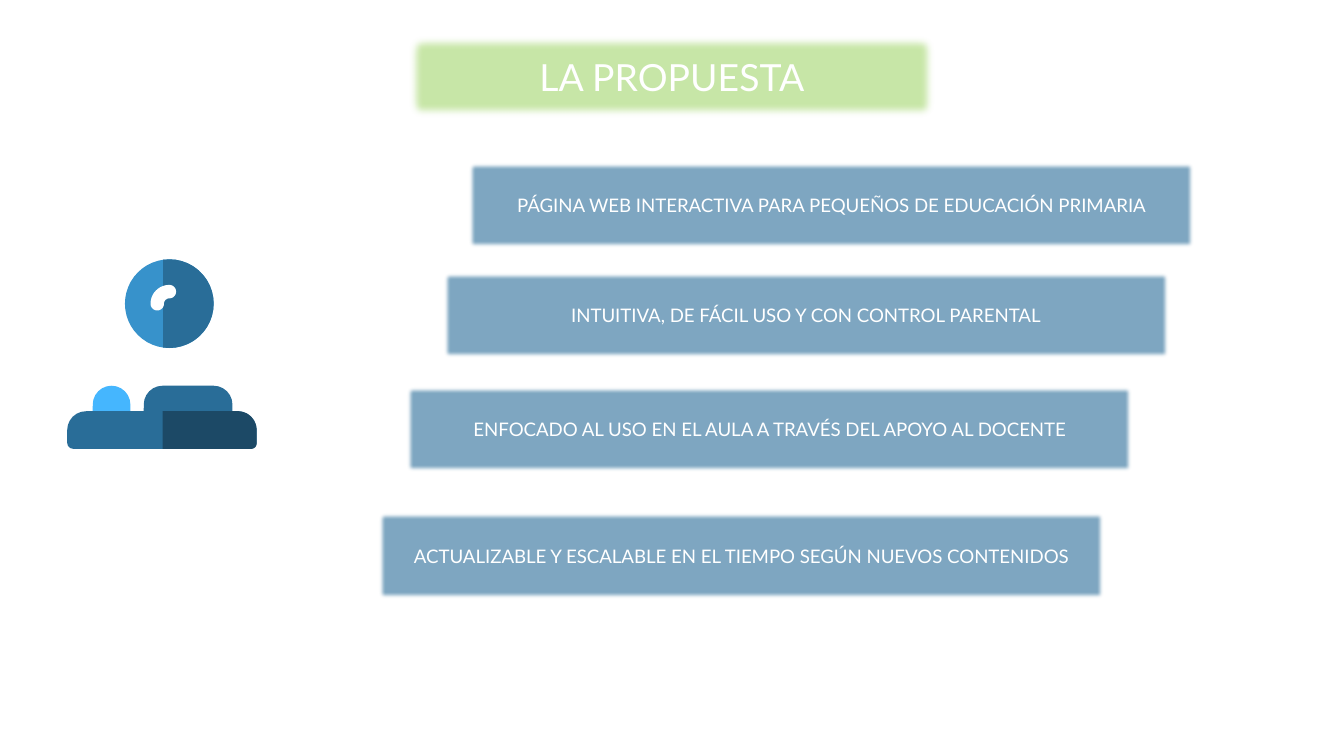
"""Build the proposal slide: a title, four stepped bars and a person icon."""
from dataclasses import dataclass
from math import cos, radians, sin
from typing import NamedTuple

from lxml import etree
from pptx import Presentation
from pptx import util as u
from pptx.dml.color import RGBColor
from pptx.enum import shapes as s, text as t
from pptx.oxml import ns


@dataclass(frozen=True)
class Theme:
    font: str = "Lato"
    white: str = "FFFFFF"
    green: str = "92D050"
    sky: str = "45B6FE"
    light: str = "3792CB"
    blue: str = "296D98"
    navy: str = "1C4966"
    title: int = 20
    body: int = 10


class Box(NamedTuple):
    x: float
    y: float
    w: float
    h: float


class Panel(NamedTuple):
    words: str
    box: Box
    fill: str
    alpha: int
    size: int
    soft: float


class Part(NamedTuple):
    kind: s.MSO_SHAPE
    box: Box
    fill: str


class Arc(NamedTuple):
    x: float
    y: float
    r: float = 0
    start: int = 0
    end: int = 0


class Curve(NamedTuple):
    arcs: tuple[Arc, ...]
    fill: str


T = Theme()
WIDTH = 10
HEIGHT = WIDTH * 9 / 16
ROUND = s.MSO_SHAPE.ROUND_2_SAME_RECTANGLE
BARS = (
    ("PÁGINA WEB INTERACTIVA PARA PEQUEÑOS DE EDUCACIÓN PRIMARIA", 3.48, 1.2),
    ("INTUITIVA, DE FÁCIL USO Y CON CONTROL PARENTAL", 3.29, 2.02),
    ("ENFOCADO AL USO EN EL AULA A TRAVÉS DEL APOYO AL DOCENTE", 3.02, 2.87),
    ("ACTUALIZABLE Y ESCALABLE EN EL TIEMPO SEGÚN NUEVOS CONTENIDOS", 2.81, 3.81),
)
PANELS = [Panel("LA PROPUESTA", Box(3.02, 0.24, 3.96, 0.66), T.green, 50, T.title, 5)]
PANELS += [Panel(words, Box(x, y, 5.41, 0.65), T.blue, 60, T.body, 2.5)
           for words, x, y in BARS]
ICON = (
    Part(s.MSO_SHAPE.OVAL, Box(0.93, 1.93, 0.66, 0.66), T.light),
    Curve((Arc(1.26, 2.26, 0.33, -98, 98),), T.blue),
    Part(ROUND, Box(1.07, 2.87, 0.66, 0.28), T.blue),
    Part(ROUND, Box(0.69, 2.87, 0.28, 0.28), T.sky),
    Curve((Arc(1.26, 2.26, 0.14, 180, 270), Arc(1.26, 2.17, 0.05, -90, 90),
           Arc(1.26, 2.26, 0.04, 270, 180), Arc(1.17, 2.26, 0.05, 0, 180)), T.white),
    Part(ROUND, Box(0.5, 3.06, 1.41, 0.28), T.blue),
    Curve((Arc(1.21, 3.06), Arc(1.77, 3.2, 0.14, -90, 0),
           Arc(1.87, 3.3, 0.04, 0, 90), Arc(1.21, 3.34)), T.navy),
)


def paint(shape, fill: str) -> None:
    """Give a shape a flat fill with no line or shadow."""
    shape.shadow.inherit = False
    shape.fill.solid()
    shape.fill.fore_color.rgb = RGBColor.from_string(fill)
    shape.line.fill.background()


def place(shapes, kind: s.MSO_SHAPE, box: Box, fill: str):
    """Add a painted preset shape."""
    shape = shapes.add_shape(kind, *map(u.Inches, box))
    paint(shape, fill)
    return shape


def blur(shape, alpha: int, soft: float) -> None:
    """Make the fill see-through and soften the edges."""
    props = shape.element.spPr
    tint = props.find(".//" + ns.qn("a:srgbClr"))
    etree.SubElement(tint, ns.qn("a:alpha"), val=str(alpha * 1000))
    edge = props.find(ns.qn("a:effectLst"))
    etree.SubElement(edge, ns.qn("a:softEdge"), rad=str(int(u.Pt(soft))))


def draw_panel(shapes, panel: Panel) -> None:
    """Draw a soft panel with centred text."""
    shape = place(shapes, s.MSO_SHAPE.RECTANGLE, panel.box, panel.fill)
    blur(shape, panel.alpha, panel.soft)
    frame = shape.text_frame
    frame.word_wrap = True
    frame.vertical_anchor = t.MSO_ANCHOR.MIDDLE
    frame.margin_left = frame.margin_right = u.Inches(0.1)
    frame.margin_top = frame.margin_bottom = u.Inches(0.1)
    para = frame.paragraphs[0]
    para.alignment = t.PP_ALIGN.CENTER
    run = para.add_run()
    run.text = panel.words
    run.font.name = T.font
    run.font.size = u.Pt(panel.size)
    run.font.color.rgb = RGBColor.from_string(T.white)


def draw_part(shapes, part: Part) -> None:
    """Draw a preset icon part, rounding its corners if it has any."""
    shape = place(shapes, part.kind, part.box, part.fill)
    if part.kind == ROUND:
        shape.adjustments[0] = 0.5
        shape.adjustments[1] = 0.16


def trace(arc: Arc, steps: int = 24) -> list[tuple[int, int]]:
    """List the points along an arc, or its centre if it has no radius."""
    count = steps if arc.r else 0
    turns = [radians(arc.start + (arc.end - arc.start) * i / steps)
             for i in range(count + 1)]
    return [(u.Inches(arc.x + arc.r * cos(a)), u.Inches(arc.y + arc.r * sin(a)))
            for a in turns]


def draw_curve(shapes, curve: Curve) -> None:
    """Draw a closed outline made of arcs."""
    dots = [dot for arc in curve.arcs for dot in trace(arc)]
    pen = shapes.build_freeform(*dots[0])
    pen.add_line_segments(dots[1:], close=True)
    paint(pen.convert_to_shape(), curve.fill)


def main() -> None:
    """Build and save the slide."""
    deck = Presentation()
    deck.slide_width, deck.slide_height = u.Inches(WIDTH), u.Inches(HEIGHT)
    slide = deck.slides.add_slide(deck.slide_layouts[6])
    for panel in PANELS:
        draw_panel(slide.shapes, panel)
    icon = slide.shapes.add_group_shape().shapes
    for item in ICON:
        if isinstance(item, Part):
            draw_part(icon, item)
        else:
            draw_curve(icon, item)
    deck.save("out.pptx")


if __name__ == "__main__":
    main()
